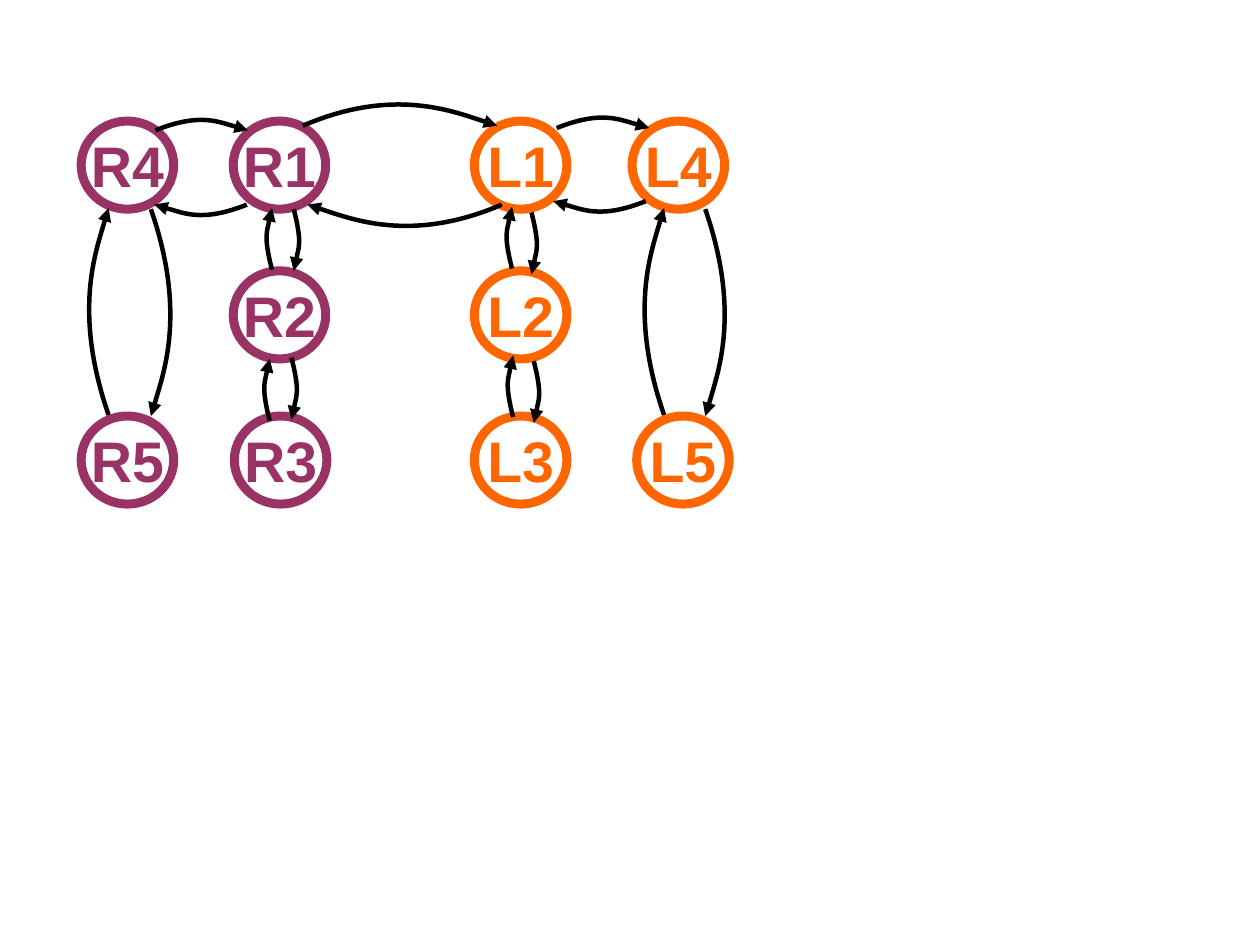
"""Draw a network of right and left nodes linked by curved arrows."""
from typing import NamedTuple

from lxml import etree
from pptx import Presentation
from pptx.dml.color import RGBColor
from pptx.enum.shapes import MSO_SHAPE
from pptx.enum.text import MSO_ANCHOR, PP_ALIGN
from pptx.oxml.ns import qn
from pptx.slide import Slide
from pptx.util import Inches, Pt

ELLIPSE = MSO_SHAPE.OVAL
MIDDLE = MSO_ANCHOR.MIDDLE
CENTER = PP_ALIGN.CENTER

CM_PER_INCH = 2.54
PAGE_WIDTH, PAGE_HEIGHT = 28 / CM_PER_INCH, 21 / CM_PER_INCH
PLUM, ORANGE, BLACK, WHITE = "993366", "FF6600", "000000", "FFFFFF"
NODE_WIDTH, NODE_HEIGHT = 0.81, 0.77
TOP_ROW, MIDDLE_ROW, BOTTOM_ROW = 1.06, 2.37, 3.64


class Node(NamedTuple):
    label: str
    left: float
    top: float
    color: str


class Bend(NamedTuple):
    end: tuple[float, float]
    control: tuple[float, float]


class Arrow(NamedTuple):
    x: float
    y: float
    bend: Bend
    direction: int


BRIDGE = Bend((1.7, 0), (0.81, -0.35))
SIDE = Bend((0.81, 0), (0.4, -0.16))
TALL = Bend((0, 1.81), (0.32, 0.92))
STEP = Bend((0, 0.54), (0.08, 0.31))

NODES = [
    Node("R1", 2.04, TOP_ROW, PLUM),
    Node("R2", 2.04, MIDDLE_ROW, PLUM),
    Node("R3", 2.05, BOTTOM_ROW, PLUM),
    Node("R4", 0.71, TOP_ROW, PLUM),
    Node("R5", 0.71, BOTTOM_ROW, PLUM),
    Node("L1", 4.15, TOP_ROW, ORANGE),
    Node("L2", 4.15, MIDDLE_ROW, ORANGE),
    Node("L3", 4.15, BOTTOM_ROW, ORANGE),
    Node("L4", 5.53, TOP_ROW, ORANGE),
    Node("L5", 5.57, BOTTOM_ROW, ORANGE),
]

ARROWS = [
    Arrow(2.65, 1.1, BRIDGE, 1),
    Arrow(4.39, 1.79, BRIDGE, -1),
    Arrow(1.32, 1.83, TALL, 1),
    Arrow(0.95, 3.63, TALL, -1),
    Arrow(6.17, 1.83, TALL, 1),
    Arrow(5.81, 3.63, TALL, -1),
    Arrow(1.36, 1.14, SIDE, 1),
    Arrow(4.87, 1.12, SIDE, 1),
    Arrow(2.16, 1.79, SIDE, -1),
    Arrow(5.65, 1.76, SIDE, -1),
    Arrow(2.57, 1.83, STEP, 1),
    Arrow(4.65, 1.86, STEP, 1),
    Arrow(2.55, 3.13, STEP, 1),
    Arrow(4.67, 3.16, STEP, 1),
    Arrow(2.38, 2.36, STEP, -1),
    Arrow(2.36, 3.68, STEP, -1),
    Arrow(4.49, 3.65, STEP, -1),
    Arrow(4.48, 2.35, STEP, -1),
]


def rgb(color: str) -> RGBColor:
    """Turn a hex string into a colour."""
    return RGBColor.from_string(color)


def draw_node(page: Slide, node: Node) -> None:
    """Draw a ringed circle with its label."""
    circle = page.shapes.add_shape(
        ELLIPSE, Inches(node.left), Inches(node.top), Inches(NODE_WIDTH), Inches(NODE_HEIGHT)
    )
    circle.shadow.inherit = False
    circle.fill.solid()
    circle.fill.fore_color.rgb = rgb(WHITE)
    circle.line.color.rgb = rgb(node.color)
    circle.line.width = Pt(5.67)
    frame = circle.text_frame
    frame.word_wrap = False
    frame.vertical_anchor = MIDDLE
    frame.margin_left = frame.margin_right = Inches(0.14)
    frame.margin_top = frame.margin_bottom = Inches(0.09)
    para = frame.paragraphs[0]
    para.alignment = CENTER
    span = para.add_run()
    span.text = node.label
    span.font.name = "Arial"
    span.font.size = Pt(36)
    span.font.bold = True
    span.font.color.rgb = rgb(node.color)


def draw_arrow(page: Slide, arrow: Arrow) -> None:
    """Draw a cubic curve, framed by its ends and crest, with an arrowhead."""
    def point(offset: tuple[float, float]) -> tuple[int, int]:
        return (
            Inches(arrow.x + arrow.direction * offset[0]),
            Inches(arrow.y + arrow.direction * offset[1]),
        )

    end_x, end_y = arrow.bend.end
    control_x, control_y = arrow.bend.control
    crest = (control_x * 4 / 9 + end_x * 7 / 27, control_y * 4 / 9 + end_y * 7 / 27)
    start, end, control = point((0, 0)), point(arrow.bend.end), point(arrow.bend.control)
    builder = page.shapes.build_freeform(*start)
    builder.add_line_segments([point(crest), end], close=False)
    curve = builder.convert_to_shape()
    curve.shadow.inherit = False
    curve.fill.background()
    curve.line.color.rgb = rgb(BLACK)
    curve.line.width = Pt(2.83)

    outline = next(curve.element.iter(qn("a:path")))
    for segment in outline.findall(qn("a:lnTo")):
        outline.remove(segment)
    bezier = etree.SubElement(outline, qn("a:cubicBezTo"))
    for x, y in (control, end, end):
        etree.SubElement(bezier, qn("a:pt"), x=str(x - curve.left), y=str(y - curve.top))
    stroke = next(curve.element.iter(qn("a:ln")))
    etree.SubElement(stroke, qn("a:tailEnd"), type="triangle")


def main() -> None:
    """Build and save the slide."""
    deck = Presentation()
    deck.slide_width = Inches(PAGE_WIDTH)
    deck.slide_height = Inches(PAGE_HEIGHT)
    deck.element.find(qn("p:sldSz")).attrib.pop("type", None)
    page = deck.slides.add_slide(deck.slide_layouts[6])
    for node in NODES:
        draw_node(page, node)
    for arrow in ARROWS:
        draw_arrow(page, arrow)
    deck.save("out.pptx")


if __name__ == "__main__":
    main()
